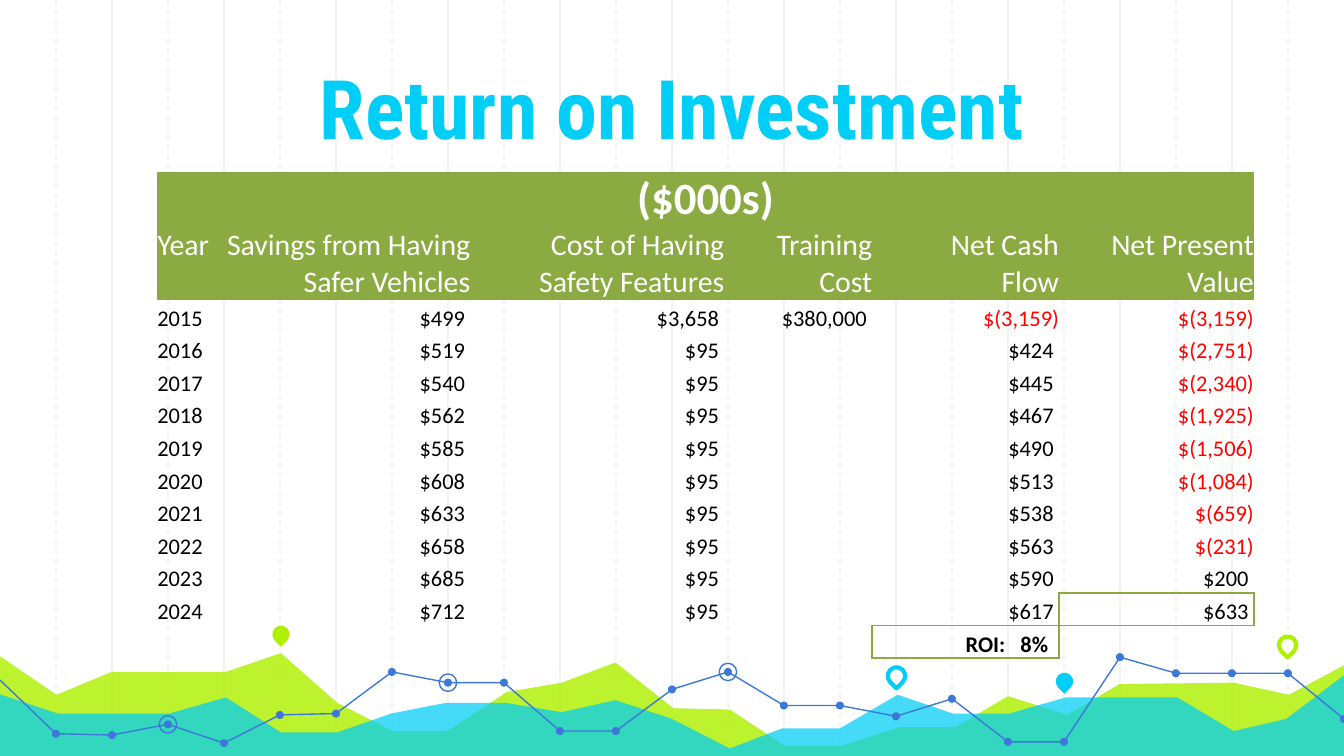
"""Build the Return on Investment slide with its cash flow table."""
from dataclasses import dataclass
from typing import Optional

import pptx
import pptx.dml.color
import pptx.enum.dml
import pptx.enum.shapes
import pptx.enum.text
import pptx.oxml.ns
import pptx.util
from lxml import etree

Inches = pptx.util.Inches
Pt = pptx.util.Pt
SHAPE = pptx.enum.shapes.MSO_SHAPE
ALIGN = pptx.enum.text.PP_ALIGN
ANCHOR = pptx.enum.text.MSO_ANCHOR
qn = pptx.oxml.ns.qn

COLORS = {
    "grid": "F3F3F3", "lime": "AFF000", "cyan": "00CEF6", "blue": "3C78D8",
    "olive": "8BAB42", "white": "FFFFFF", "black": "000000", "red": "FF0000",
}
SLIDE_WIDTH = 10
SLIDE_HEIGHT = SLIDE_WIDTH * 9 / 16
GRID_STEP = SLIDE_WIDTH / 24
Points = list[tuple[float, float]]


@dataclass
class Area:
    color: str
    opacity: int
    points: Points


@dataclass
class Marker:
    x: float
    y: float
    size: float
    kind: SHAPE
    fill: Optional[str] = None
    line: Optional[str] = None
    width: float = 0.75
    rotation: float = 0


AREAS = [
    Area("lime", 82, [
        (-0.02, 4.87), (0.42, 5.17), (0.83, 5), (1.68, 5), (2.09, 4.86), (2.51, 5.23),
        (2.92, 5.44), (3.33, 5.44), (3.77, 5.15), (4.18, 5.08), (4.58, 4.93), (5.01, 5.27),
        (5.43, 5.28), (5.84, 5.55), (6.26, 5.55), (6.7, 5.41), (7.11, 5.41), (7.5, 5.18),
        (7.94, 5.32), (8.33, 5.09), (9.18, 5.08), (9.59, 5.17), (10.02, 4.94),
        (10.01, 5.64), (-0.03, 5.64)]),
    Area("cyan", 73, [
        (-0.02, 5.16), (0.43, 5.31), (1.26, 5.31), (1.68, 5.19), (2.09, 5.45), (2.51, 5.45),
        (2.91, 5.31), (3.32, 5.23), (3.76, 5.23), (4.18, 5.3), (4.58, 5.21), (5, 5.35),
        (5.43, 5.57), (5.82, 5.42), (6.25, 5.42), (6.68, 5.17), (7.09, 5.31), (7.51, 5.31),
        (7.93, 5.19), (8.76, 5.19), (9.18, 5.44), (9.57, 5.35), (10.02, 5.01),
        (10.02, 5.65), (-0.03, 5.65)]),
]
TREND_HEIGHTS = [
    5.06, 5.46, 5.47, 5.39, 5.53, 5.32, 5.31, 5, 5.08, 5.08, 5.44, 5.44, 5.13,
    5, 5.25, 5.25, 5.33, 5.2, 5.52, 5.52, 4.89, 5.01, 5.01, 5.01, 5.35,
]
TREND = [(step * GRID_STEP, height) for step, height in enumerate(TREND_HEIGHTS)]
TREND_PARTS = [(0, 11), (11, 20), (20, 24)]
RINGED_STEPS = [3, 8, 13]
PINS = [
    Marker(2.09, 4.72, 0.13, SHAPE.TEAR, fill="lime", rotation=135),
    Marker(6.67, 5.03, 0.13, SHAPE.TEAR, line="cyan", width=2.25, rotation=135),
    Marker(7.92, 5.07, 0.13, SHAPE.TEAR, fill="cyan", rotation=135),
    Marker(9.58, 4.8, 0.13, SHAPE.TEAR, line="lime", width=2.25, rotation=135),
]

COLUMN_WIDTHS = [0.44, 1.89, 1.89, 1.1, 1.39, 1.45]
ROW_HEIGHTS = [0.41, 0.54] + [2.67 / 11] * 11
HEADINGS = ["Year", "Savings from Having Safer Vehicles", "Cost of Having Safety Features",
            "Training\v Cost", "Net Cash\v Flow", "Net Present Value"]
SAVINGS = [499, 519, 540, 562, 585, 608, 633, 658, 685, 712]
CASH_FLOWS = [-3159, 424, 445, 467, 490, 513, 538, 563, 590, 617]
PRESENT_VALUES = [-3159, -2751, -2340, -1925, -1506, -1084, -659, -231, 200, 633]
BORDERS = {(10, 5): "B", (11, 4): "RB", (11, 5): "LRTB",
           (12, 3): "R", (12, 4): "LRTB", (12, 5): "LT"}


def rgb(name: str) -> pptx.dml.color.RGBColor:
    return pptx.dml.color.RGBColor.from_string(COLORS[name])


def money(amount: int) -> str:
    return f"$({-amount:,})" if amount < 0 else f"${amount:,}"


def write(frame, text: str, *, size: float, font: str = "Calibri", color: str = "black",
          bold: bool = False, align=ALIGN.LEFT) -> None:
    paragraph = frame.paragraphs[0]
    paragraph.alignment = align
    paragraph.text = text
    for run in paragraph.runs:
        run.font.size, run.font.name, run.font.bold = Pt(size), font, bold
        run.font.color.rgb = rgb(color)
    if not text:
        etree.SubElement(paragraph._p, qn("a:endParaRPr"), sz=str(int(size * 100)))


def paint(shape, fill: Optional[str], line: Optional[str], width: float = 0.75) -> None:
    shape.shadow.inherit = False
    if fill:
        shape.fill.solid()
        shape.fill.fore_color.rgb = rgb(fill)
    else:
        shape.fill.background()
    if line:
        shape.line.color.rgb = rgb(line)
        shape.line.width = Pt(width)
    else:
        shape.line.fill.background()


def draw_outline(slide, points: Points, closed: bool):
    corners = [(Inches(x), Inches(y)) for x, y in points]
    builder = slide.shapes.build_freeform(*corners[0])
    builder.add_line_segments(corners[1:], close=closed)
    return builder.convert_to_shape()


def draw_area(slide, area: Area) -> None:
    shape = draw_outline(slide, area.points, True)
    paint(shape, area.color, None)
    color = shape._element.spPr.find(qn("a:solidFill"))[0]
    etree.SubElement(color, qn("a:alpha"), val=str(area.opacity * 1000))


def draw_marker(slide, marker: Marker) -> None:
    radius = marker.size / 2
    shape = slide.shapes.add_shape(marker.kind, Inches(marker.x - radius),
                                   Inches(marker.y - radius),
                                   Inches(marker.size), Inches(marker.size))
    shape.rotation = marker.rotation
    paint(shape, marker.fill, marker.line, marker.width)


def draw_gridline(slide, step: int) -> None:
    x = Inches(step * GRID_STEP)
    line = slide.shapes.add_connector(pptx.enum.shapes.MSO_CONNECTOR.STRAIGHT,
                                      x, 0, x, Inches(5.65))
    line.line.color.rgb = rgb("grid")
    line.line.width = Pt(0.75)
    if step % 2:
        line.line.dash_style = pptx.enum.dml.MSO_LINE.DASH
    etree.SubElement(line._element.spPr, qn("a:effectLst"))


def draw_borders(cell, sides: str) -> None:
    properties = cell._tc.get_or_add_tcPr()
    for position, side in enumerate(sides):
        line = etree.Element(qn(f"a:ln{side}"), w=str(Pt(1)))
        fill = etree.SubElement(line, qn("a:solidFill"))
        etree.SubElement(fill, qn("a:srgbClr"), val=COLORS["olive"])
        properties.insert(position, line)


def table_rows() -> list[list[str]]:
    rows = [["($000s)"] + [""] * 5, HEADINGS]
    for index, saving in enumerate(SAVINGS):
        rows.append([str(2015 + index), money(saving), money(95 if index else 3658),
                     "" if index else money(380000), money(CASH_FLOWS[index]),
                     money(PRESENT_VALUES[index])])
    return rows + [[""] * 4 + ["ROI:   8%", ""]]


def fill_cell(cell, row: int, column: int, text: str) -> None:
    header, negative, total = row < 2, "(" in text, text.startswith("ROI")
    cell.margin_left = cell.margin_top = cell.margin_bottom = 0
    right = 0.08 if total else 0 if header or negative or not column else 0.04
    cell.margin_right = Inches(right)
    cell.vertical_anchor = ANCHOR.TOP if text == "Year" else ANCHOR.BOTTOM
    if header:
        cell.fill.solid()
        cell.fill.fore_color.rgb = rgb("olive")
    else:
        cell.fill.background()
    write(cell.text_frame, text, size=(24, 16)[row] if header else 12,
          color="white" if header else "red" if negative else "black",
          bold=row == 0 or total,
          align=ALIGN.CENTER if row == 0 else ALIGN.RIGHT if column else ALIGN.LEFT)
    draw_borders(cell, BORDERS.get((row, column), ""))


def draw_table(slide) -> None:
    table = slide.shapes.add_table(13, 6, Inches(1.17), Inches(1.28),
                                   Inches(8.16), Inches(3.62)).table
    table.first_row = table.horz_banding = False
    style = table._tbl.tblPr.find(qn("a:tableStyleId"))
    style.text = "{2D5ABB26-0587-4C30-8999-92F81FD0307C}"
    for column, width in zip(table.columns, COLUMN_WIDTHS):
        column.width = Inches(width)
    for row, height in zip(table.rows, ROW_HEIGHTS):
        row.height = Inches(height)
    table.cell(0, 0).merge(table.cell(0, 5))
    for row, texts in enumerate(table_rows()):
        for column, text in enumerate(texts):
            fill_cell(table.cell(row, column), row, column, text)


def main() -> None:
    presentation = pptx.Presentation()
    presentation.slide_width = Inches(SLIDE_WIDTH)
    presentation.slide_height = Inches(SLIDE_HEIGHT)
    slide = presentation.slides.add_slide(presentation.slide_layouts[6])
    for step in [*range(2, 24, 2), *range(1, 24, 2)]:
        draw_gridline(slide, step)
    for area in AREAS:
        draw_area(slide, area)
    for first, last in TREND_PARTS:
        paint(draw_outline(slide, TREND[first:last + 1], False), None, "blue")
    dots = [Marker(x, y, 0.06, SHAPE.OVAL, fill="blue") for x, y in TREND[1:]]
    rings = [Marker(*TREND[step], 0.13, SHAPE.OVAL, line="blue") for step in RINGED_STEPS]
    for marker in dots + rings + PINS:
        draw_marker(slide, marker)
    title = slide.shapes.add_textbox(0, Inches(-0.01), Inches(10), Inches(1.27)).text_frame
    title.word_wrap = True
    title.vertical_anchor = ANCHOR.BOTTOM
    title.margin_left = title.margin_right = Inches(0.1)
    title.margin_top = title.margin_bottom = Inches(0.1)
    write(title, "Return on Investment", size=44, font="Roboto Condensed",
          color="cyan", bold=True, align=ALIGN.CENTER)
    draw_table(slide)
    presentation.save("out.pptx")


main()
